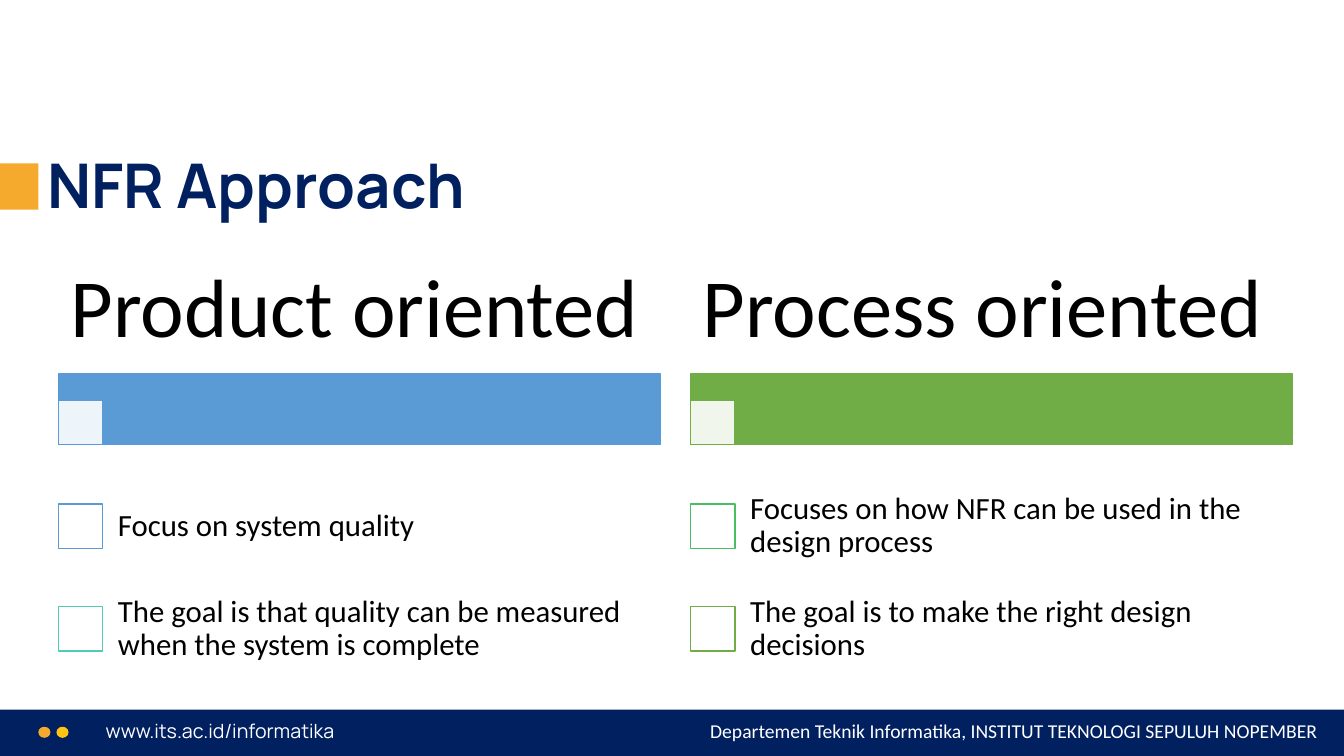
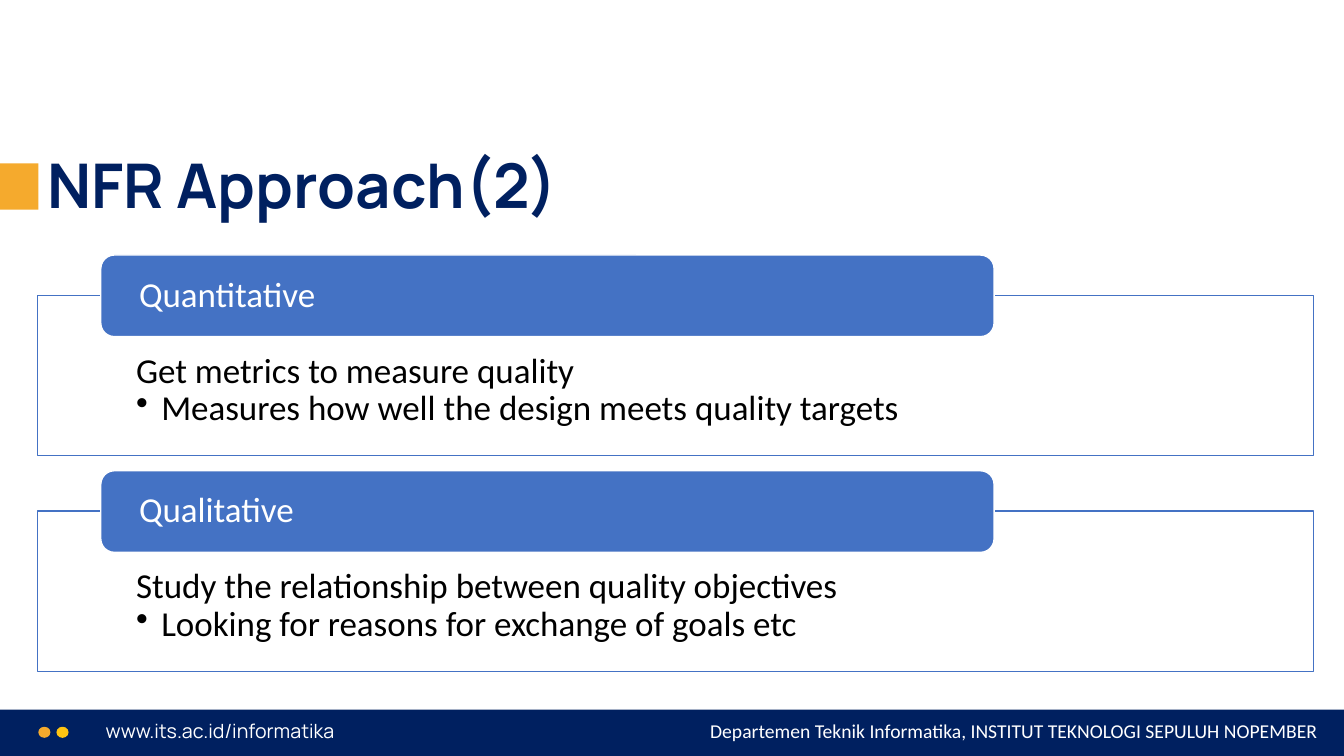
from lxml import etree
from pptx import Presentation
from pptx.dml.color import RGBColor
from pptx.enum.shapes import MSO_SHAPE as SHAPE
from pptx.enum.text import MSO_ANCHOR as ANCHOR, PP_ALIGN as ALIGN
from pptx.oxml.ns import qn
from pptx.util import Inches, Pt

NAVY, ORANGE, YELLOW = "002060", "F5AA2D", "FFC411"
WHITE, BLACK = "FFFFFF", "000000"
BLUE, SKY, GREEN = "4472C4", "5B9BD5", "70AD47"
TEAL, MINT = "52CAB8", "49BF64"
BODY_FONT, HEAD_FONT = "Calibri", "Manrope"
INSETS = (0.1, 0.05, 0.1, 0.05)


def rgb(value):
    return RGBColor.from_string(value)


class Deck:
    """Holds the shared style and the current slide, and draws elements on it."""

    def __init__(self):
        self.prs = Presentation()
        self.prs.slide_width = Inches(13.33)
        self.prs.slide_height = Inches(7.5)
        self.slide = None

    def new_slide(self, title):
        self.slide = self.prs.slides.add_slide(self.prs.slide_layouts[6])
        self.shape((-0.16, 7.04, 13.65, 0.46), NAVY)
        self.label((0.95, 7.08, 4.28, 0.34), "www.its.ac.id/informatika", 14,
                   WHITE, HEAD_FONT, spacing=1)
        for x, color in ((0.38, ORANGE), (0.56, YELLOW)):
            self.shape((x, 7.21, 0.12, 0.11), color, kind=SHAPE.OVAL)
        self.label((5.91, 7.08, 7.26, 0.34),
                   "Departemen Teknik Informatika, INSTITUT TEKNOLOGI SEPULUH NOPEMBER",
                   14, WHITE, align=ALIGN.RIGHT, spacing=1)
        self.shape((0, 1.62, 0.38, 0.46), ORANGE)
        self.label((0.37, 1.38, 12.66, 0.87), title, 44, NAVY, HEAD_FONT,
                   bold=True, anchor=ANCHOR.BOTTOM)

    def shape(self, box, fill, line=None, kind=SHAPE.RECTANGLE, opacity=100):
        sp = self.slide.shapes.add_shape(kind, *map(Inches, box))
        sp.shadow.inherit = False
        sp.fill.solid()
        sp.fill.fore_color.rgb = rgb(fill)
        if opacity < 100:
            color = sp._element.spPr.find(".//" + qn("a:srgbClr"))
            etree.SubElement(color, qn("a:alpha"), val=str(opacity * 1000))
        if line:
            sp.line.color.rgb = rgb(line)
            sp.line.width = Pt(1)
        else:
            sp.line.fill.background()
        return sp

    def set_text(self, sp, lines, size, color, font=BODY_FONT, bold=False,
                 align=ALIGN.LEFT, anchor=ANCHOR.TOP, insets=INSETS, spacing=0.9):
        tf = sp.text_frame
        tf.word_wrap = True
        tf.vertical_anchor = anchor
        tf.margin_left, tf.margin_top, tf.margin_right, tf.margin_bottom = map(Inches, insets)
        tf.text = "\n".join(lines)
        for p in tf.paragraphs:
            p.alignment = align
            p.line_spacing = spacing
            p.font.size = Pt(size)
            p.font.name = font
            p.font.bold = bold
            p.font.color.rgb = rgb(color)
        return tf

    def label(self, box, text, size, color, font=BODY_FONT, **style):
        sp = self.slide.shapes.add_textbox(*map(Inches, box))
        self.set_text(sp, [text], size, color, font, **style)

    def bullet(self, p):
        pPr = p._p.get_or_add_pPr()
        pPr.set("marL", str(Inches(0.25)))
        pPr.set("indent", str(Inches(-0.25)))
        bu = etree.Element(qn("a:buChar"), char="•")
        pPr.find(qn("a:defRPr")).addprevious(bu)

    def checklist(self, x, heading, color, items):
        side = 0.44
        row_height = 1.02
        self.shape((x, 3.71, 5.97, 0.7), color, color)
        self.shape((x, 3.97, side, side), WHITE, color, opacity=90)
        self.label((x, 2.45, 5.97, 1.26), heading, 59, BLACK,
                   anchor=ANCHOR.MIDDLE, insets=(0.12, 0.08, 0.12, 0.08))
        for i, (text, outline) in enumerate(items):
            y = 4.71 + i * row_height
            self.shape((x, y + (row_height - side) / 2, side, side), WHITE, outline)
            self.label((x + 0.42, y, 5.56, row_height), text, 22, BLACK,
                       anchor=ANCHOR.MIDDLE, insets=(0.17,) * 4)

    def panel(self, y, heading, intro, point):
        body = self.shape((0.37, y + 0.4, 12.66, 1.59), WHITE, BLUE, opacity=90)
        tf = self.set_text(body, [intro, point], 25, BLACK, insets=(0.98, 0.57, 0.98, 0.19))
        self.bullet(tf.paragraphs[1])
        tab = self.shape((1, y, 8.86, 0.81), BLUE, WHITE, SHAPE.ROUNDED_RECTANGLE)
        self.set_text(tab, [heading], 25, WHITE, anchor=ANCHOR.MIDDLE,
                      insets=(0.34, 0, 0.34, 0))


def main():
    deck = Deck()

    deck.new_slide("NFR Approach")
    columns = (
        ("Product oriented", SKY, (
            ("Focus on system quality", SKY),
            ("The goal is that quality can be measured when the system is complete", TEAL))),
        ("Process oriented", GREEN, (
            ("Focuses on how NFR can be used in the design process", MINT),
            ("The goal is to make the right design decisions", GREEN))),
    )
    for i, column in enumerate(columns):
        deck.checklist(0.58 + i * 6.27, *column)

    deck.new_slide("NFR Approach(2)")
    panels = (
        ("Quantitative", "Get metrics to measure quality",
         "Measures how well the design meets quality targets"),
        ("Qualitative", "Study the relationship between quality objectives",
         "Looking for reasons for exchange of goals etc"),
    )
    for i, panel in enumerate(panels):
        deck.panel(2.53 + i * 2.14, *panel)

    deck.prs.save("out.pptx")


if __name__ == "__main__":
    main()
